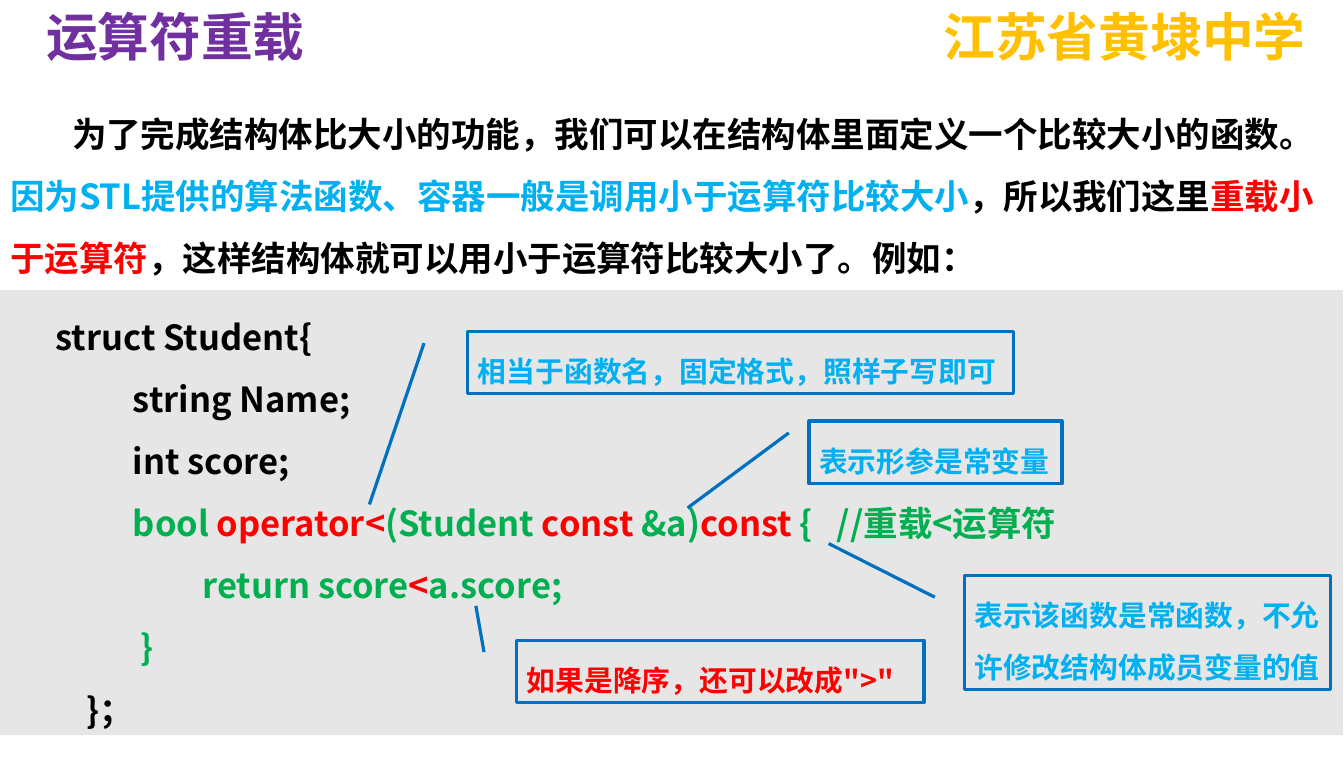
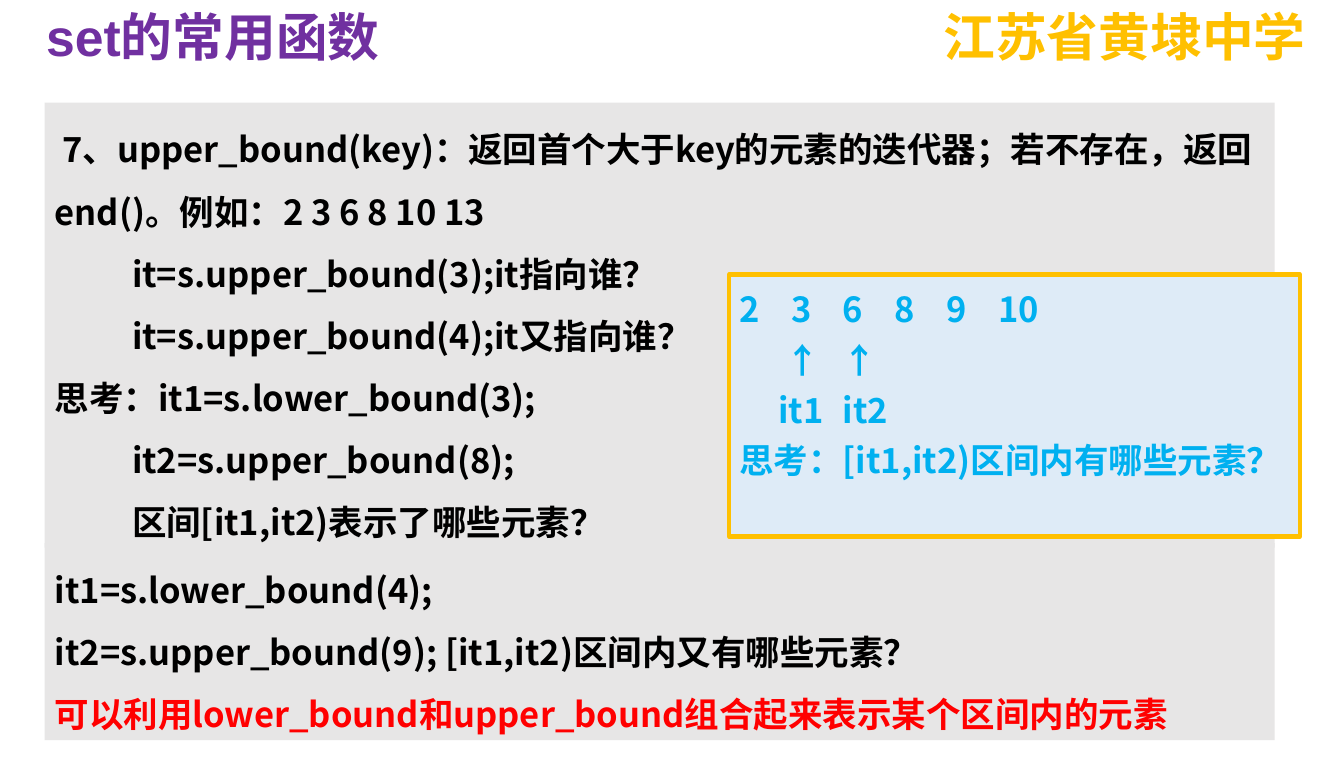
import dataclasses

import lxml.etree
import pptx
import pptx.dml.color
import pptx.enum.lang
import pptx.enum.shapes
import pptx.enum.text
import pptx.oxml.ns
import pptx.util

Pt = pptx.util.Pt
qn = pptx.oxml.ns.qn
SHAPE = pptx.enum.shapes.MSO_SHAPE


@dataclasses.dataclass(frozen=True)
class Theme:
    black: str = "000000"
    red: str = "FF0000"
    green: str = "00B050"
    sky: str = "00B0F0"
    blue: str = "0070C0"
    purple: str = "7030A0"
    gold: str = "FFC000"
    grey: str = "E7E6E6"
    pale: str = "DEEBF7"
    title: int = 36
    body: int = 24
    note: int = 20
    font: str = "Noto Sans CJK SC"
    title_font: str = "Arial"
    space: float = 5.38  # width of one indent step
    school: str = "江苏省黄埭中学"


T = Theme()


@dataclasses.dataclass
class Line:
    """A paragraph: (text, colour) runs, first-line indent in steps, tab stops."""
    runs: list
    indent: int = 0
    tabs: tuple = ()


def line(text, indent=0, color=T.black, tabs=()):
    return Line([(text, color)], indent, tabs)


class Deck:
    def __init__(self, width, height):
        self.prs = pptx.Presentation()
        self.prs.slide_width, self.prs.slide_height = Pt(width), Pt(height)
        self.s = None

    def slide(self, title):
        """New slide with the shared header: title left, school right."""
        self.s = self.prs.slides.add_slide(self.prs.slide_layouts[6])
        self.text(649.5, 0, 286.5, 50.5, [line(T.school, color=T.gold)],
                  T.title, spacing=1.0)
        self.text(25, 0, 369, 50.5, [line(title, color=T.purple)],
                  T.title, spacing=1.0, font=T.title_font)

    def text(self, x, y, w, h, lines, size=T.body, **style):
        sp = self.s.shapes.add_textbox(Pt(x), Pt(y), Pt(w), Pt(h))
        self.fill_text(sp, lines, size, **style)

    def box(self, x, y, w, h, lines, fill=T.grey, border=None, weight=3,
            kind=SHAPE.RECTANGLE, size=T.body, **style):
        sp = self.s.shapes.add_shape(kind, Pt(x), Pt(y), Pt(w), Pt(h))
        sp.shadow.inherit = False
        if fill:
            sp.fill.solid()
            sp.fill.fore_color.rgb = pptx.dml.color.RGBColor.from_string(fill)
        else:
            sp.fill.background()
        if border:
            sp.line.color.rgb = pptx.dml.color.RGBColor.from_string(border)
            sp.line.width = Pt(weight)
        else:
            sp.line.fill.background()
        self.fill_text(sp, lines, size, **style)
        return sp

    def callout(self, x, y, w, h, text, tip, color=T.sky):
        """Bordered note with a leader; tip is (down, across) in box sizes."""
        sp = self.box(x, y, w, h, [line(text, color=color)], fill=None,
                      border=T.blue, weight=2.25, kind=SHAPE.LINE_CALLOUT_1,
                      size=T.note)
        for i, value in enumerate((0.19, -0.08) + tip):
            sp.adjustments[i] = value

    def fill_text(self, sp, lines, size, spacing=1.5, font=T.font):
        tf = sp.text_frame
        tf.word_wrap = True
        tf.auto_size = pptx.enum.text.MSO_AUTO_SIZE.SHAPE_TO_FIT_TEXT
        tf.vertical_anchor = pptx.enum.text.MSO_ANCHOR.TOP
        for i, item in enumerate(lines):
            p = tf.add_paragraph() if i else tf.paragraphs[0]
            p.alignment = pptx.enum.text.PP_ALIGN.LEFT
            p.line_spacing = spacing
            self.indent_line(p, item)
            for text, color in item.runs:
                r = p.add_run()
                r.text = text
                self.style_run(r, size, color, font)

    def indent_line(self, p, item):
        pPr = p._p.get_or_add_pPr()
        pPr.set("marL", "0")
        pPr.set("indent", str(int(Pt(item.indent * T.space))))
        if item.tabs:
            tabs = lxml.etree.SubElement(pPr, qn("a:tabLst"))
            for pos in item.tabs:
                lxml.etree.SubElement(tabs, qn("a:tab"),
                                      pos=str(int(Pt(pos))), algn="l")

    def style_run(self, r, size, color, font):
        r.font.size, r.font.bold, r.font.name = Pt(size), True, font
        r.font.language_id = pptx.enum.lang.MSO_LANGUAGE_ID.SIMPLIFIED_CHINESE
        r.font.color.rgb = pptx.dml.color.RGBColor.from_string(color)
        # East Asian characters need their own font entry
        lxml.etree.SubElement(r._r.get_or_add_rPr(), qn("a:ea"),
                              typeface=T.font)


def operator_slide(deck):
    deck.slide("运算符重载")

    # Introduction
    deck.text(0, 60.5, 935.28, 137, [Line([
        ("为了完成结构体比大小的功能，我们可以在结构体里面定义一个比较大小的函数。", T.black),
        ("因为STL提供的算法函数、容器一般是调用小于运算符比较大小", T.sky),
        ("，所以我们这里", T.black),
        ("重载小于运算符", T.red),
        ("，这样结构体就可以用小于运算符比较大小了。例如：", T.black),
    ], indent=8)])

    # Code
    deck.box(-0.7, 202, 935.28, 309.6, [
        line("struct Student{", 6),
        line("string Name;", 16),
        line("int score;", 16),
        Line([("bool ", T.green), ("operator<", T.red),
              ("(Student ", T.green), ("const ", T.red), ("&a)", T.green),
              ("const ", T.red), ("{\t//重载<运算符", T.green)], 16, (619,)),
        Line([("return score", T.green), ("<", T.red),
              ("a.score;", T.green)], 25),
        line("}", 17, T.green),
        line("}；", 10),
    ])

    # Notes on the code
    deck.callout(563, 293, 176, 43.5, "表示形参是常变量", (1.39, -0.48))
    deck.callout(671, 400.5, 255, 79.5,
                 "表示该函数是常函数，不允许修改结构体成员变量的值", (-0.28, -0.37))
    deck.callout(325.5, 230.5, 380, 43.5,
                 "相当于函数名，固定格式，照样子写即可", (2.77, -0.18))
    deck.callout(359.5, 445.5, 283.5, 43.5,
                 "如果是降序，还可以改成\">\"", (-0.55, -0.1), T.red)


def set_slide(deck):
    deck.slide("set的常用函数")
    left, width = 31, 856

    # Definition and questions
    deck.box(left, 71.5, width, 309.6, [
        line("7、upper_bound(key)：返回首个大于key的元素的迭代器；"
             "若不存在，返回end()。例如：2 3 6 8 10 13", 1),
        line("it=s.upper_bound(3);it指向谁？", 10),
        line("it=s.upper_bound(4);it又指向谁？", 10),
        line("思考：it1=s.lower_bound(3);"),
        line("it2=s.upper_bound(8);", 10),
        line("区间[it1,it2)表示了哪些元素？", 10),
    ])

    # Follow-up and conclusion
    deck.box(left, 378, width, 137, [
        line("it1=s.lower_bound(4);"),
        line("it2=s.upper_bound(9); [it1,it2)区间内又有哪些元素？"),
        line("可以利用lower_bound和upper_bound组合起来表示某个区间内的元素",
             color=T.red),
    ])

    # Iterator diagram
    numbers = "\t".join(("2", "3", "6", "8", "9", "10"))
    deck.box(507.5, 191, 397, 182.4, [
        line(numbers, 0, T.sky, tuple(36 * i for i in range(1, 6))),
        line("↑\t↑", 6, T.sky, (148,)),
        line("it1\tit2", 5, T.sky, (134.7,)),
        line("思考：[it1,it2)区间内有哪些元素？", color=T.sky),
    ], fill=T.pale, border=T.gold, spacing=Pt(35))


def main():
    deck = Deck(935.28, 540)
    operator_slide(deck)
    set_slide(deck)
    deck.prs.save("out.pptx")


if __name__ == "__main__":
    main()
